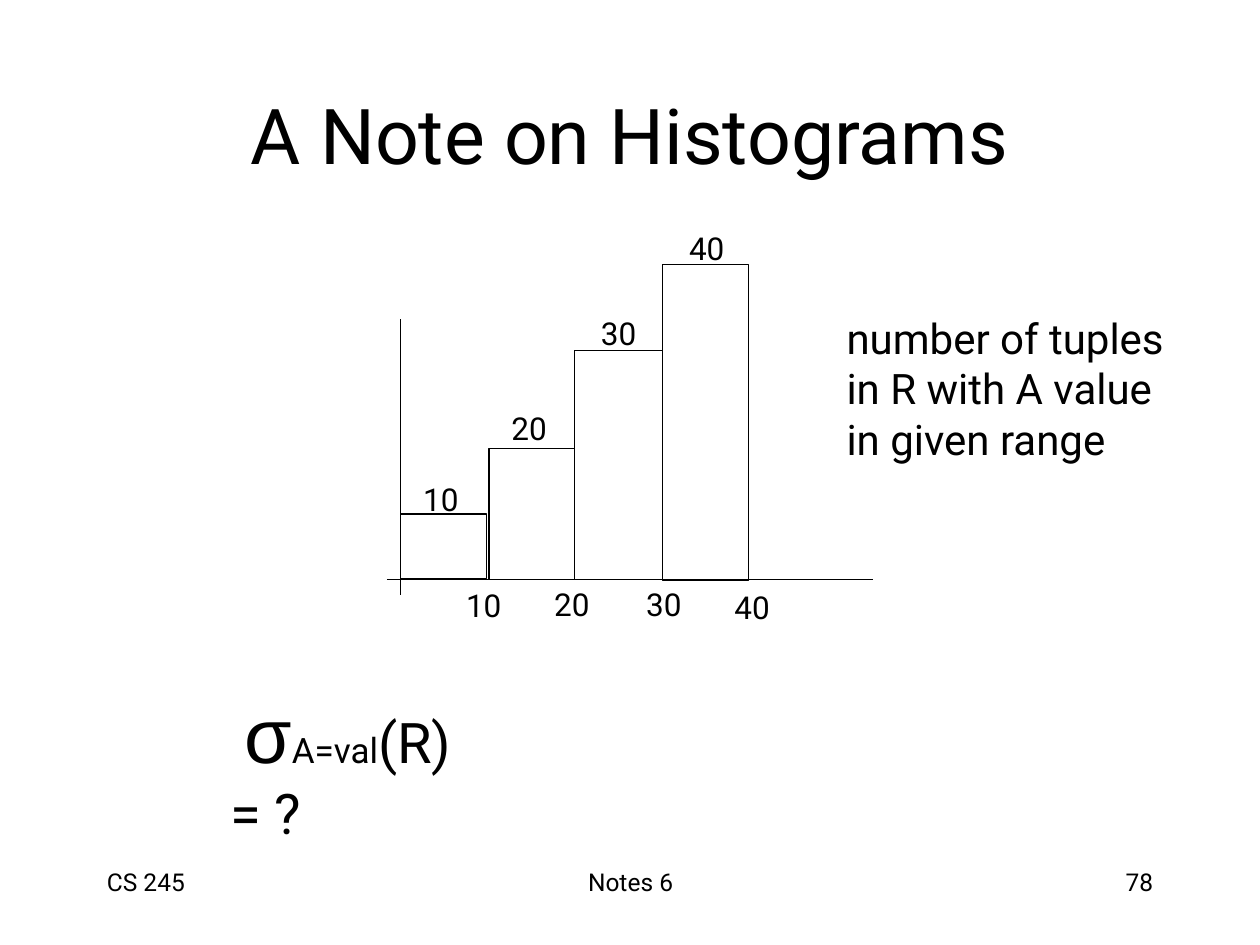
"""Build a slide that explains selectivity estimates with a histogram."""
import lxml.etree
import pptx
import pptx.dml.color
import pptx.enum.shapes
import pptx.enum.text
import pptx.oxml.ns
import pptx.util

Inches = pptx.util.Inches
Align = pptx.enum.text.PP_ALIGN
BLACK = pptx.dml.color.RGBColor(0, 0, 0)
WHITE = pptx.dml.color.RGBColor(255, 255, 255)


class HistogramSlide:
    """Hold the text style and the current slide."""

    def __init__(self, deck):
        self.slide = deck.slides.add_slide(deck.slide_layouts[5])
        self.style = {"name": "Roboto", "bold": False}

    def add_words(self, paragraph, text, size, **changes):
        run = paragraph.add_run()
        run.text = text
        run.font.color.rgb = BLACK
        formats = {**self.style, "size": pptx.util.Pt(size), **changes}
        for attribute, value in formats.items():
            setattr(run.font, attribute, value)

    def title(self, text, place):
        heading = self.slide.shapes.title
        for side, length in zip(("left", "top", "width", "height"), place):
            setattr(heading, side, Inches(length))
        heading.text_frame.vertical_anchor = pptx.enum.text.MSO_ANCHOR.MIDDLE
        paragraph = heading.text_frame.paragraphs[0]
        paragraph.alignment = Align.CENTER
        self.add_words(paragraph, text, 44)

    def text(self, lines, place, size, align=Align.LEFT, wrap=True):
        frame = self.slide.shapes.add_textbox(*map(Inches, place)).text_frame
        frame.word_wrap = wrap
        for index, line in enumerate(lines):
            paragraph = frame.add_paragraph() if index else frame.paragraphs[0]
            paragraph.alignment = align
            self.add_words(paragraph, line, size)
        return frame

    def label(self, text, left, top):
        self.text([text], (left, top, 0.48, 0.4), 18, wrap=False)

    def bar(self, left, top, width, height):
        column = self.slide.shapes.add_shape(
            pptx.enum.shapes.MSO_SHAPE.RECTANGLE,
            *map(Inches, (left, top, width, height)))
        column.shadow.inherit = False
        column.fill.solid()
        column.fill.fore_color.rgb = WHITE
        self.outline(column)

    def axis(self, *ends):
        line = self.slide.shapes.add_connector(
            pptx.enum.shapes.MSO_CONNECTOR.STRAIGHT, *map(Inches, ends))
        self.outline(line)
        properties = line._element.spPr
        lxml.etree.SubElement(properties, pptx.oxml.ns.qn("a:effectLst"))

    def outline(self, shape):
        shape.line.color.rgb = BLACK
        shape.line.width = pptx.util.Pt(0.75)


def main():
    deck = pptx.Presentation()
    deck.slide_width, deck.slide_height = Inches(10), Inches(7.5)
    page = HistogramSlide(deck)
    page.title("A Note on Histograms", (0.75, 0.61, 8.5, 0.9))

    page.axis(3.07, 4.6, 6.93, 4.6)
    page.axis(3.18, 4.72, 3.18, 2.53)
    bars = [
        (3.18, 4.08, 0.68, 0.51),
        (5.26, 4.1, 0.68, 0.51),
        (3.88, 3.56, 0.68, 1.04),
        (4.56, 2.78, 0.71, 1.82),
        (5.26, 2.1, 0.68, 2.5),
    ]
    for place in bars:
        page.bar(*place)

    range_ends = [(3.6, 4.6), (4.3, 4.59), (5.03, 4.59), (5.73, 4.62)]
    counts = [(3.26, 3.76), (3.96, 3.2), (4.67, 2.44), (5.37, 1.77)]
    for places in (range_ends, counts):
        for step, (left, top) in enumerate(places, 1):
            page.label(str(10 * step), left, top)

    page.text(["number of tuples", "in R with A value", "in given range"],
              (6.62, 2.43, 2.91, 1.3), 24, wrap=False)

    query = page.text([" "], (1.73, 5.4, 2.1, 0.84), 32).paragraphs[0]
    page.add_words(query, "σ", 44, name="Arial")
    page.add_words(query, "A=val", 20)
    page.add_words(query, "(R) = ?", 32)

    footers = [
        ("Notes 6", 3.42, 3.17, Align.CENTER),
        ("78", 7.17, 2.08, Align.RIGHT),
        ("CS 245", 0.75, 2.08, Align.LEFT),
    ]
    for text, left, width, align in footers:
        page.text([text], (left, 6.83, width, 0.5), 14, align)

    deck.save("out.pptx")


if __name__ == "__main__":
    main()
